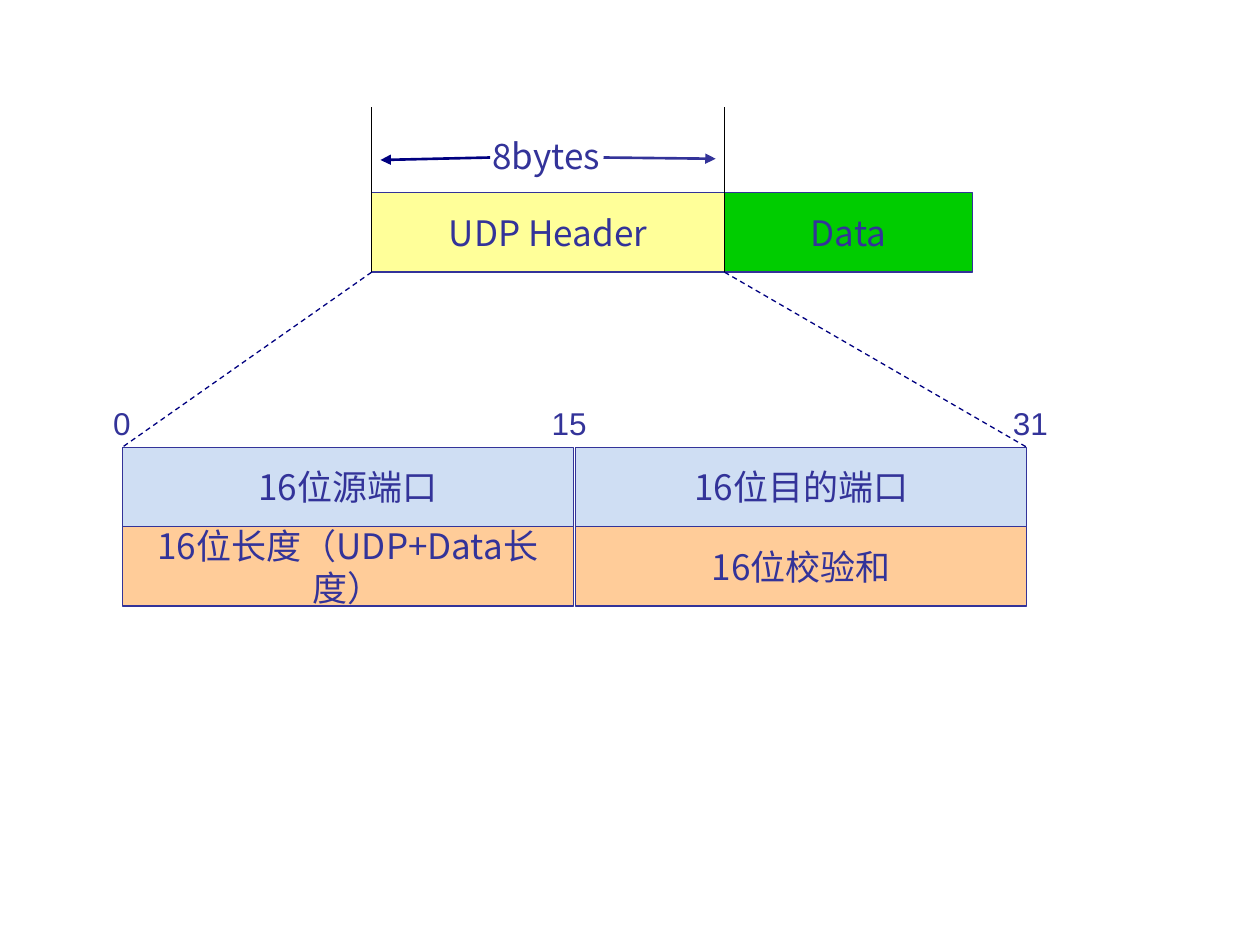
"""Build a slide that explains the layout of a UDP header."""
from lxml.etree import SubElement
from pptx import Presentation
from pptx.dml.color import RGBColor
from pptx.enum.dml import MSO_LINE
from pptx.enum.shapes import MSO_CONNECTOR, MSO_SHAPE
from pptx.enum.text import MSO_ANCHOR, MSO_AUTO_SIZE, PP_ALIGN
from pptx.oxml.ns import qn
from pptx.util import Inches, Pt

INK, NAVY, BLACK = "333399", "000080", "000000"
CJK = "Noto Sans CJK SC"
ROW = 0.63
HEADER_LEFT, HEADER_RIGHT, HEADER_TOP = 2.95, 5.75, 1.53
HEADER_BOTTOM = HEADER_TOP + ROW
FIELD_LEFT, FIELD_TOP, FIELD_WIDTH, FIELD_STEP = 0.97, 3.55, 3.58, 3.6
FIELD_RIGHT = FIELD_LEFT + FIELD_STEP + FIELD_WIDTH
BOX_FRAME = {"word_wrap": True, "auto_size": MSO_AUTO_SIZE.NONE, "vertical_anchor": MSO_ANCHOR.MIDDLE}
LABEL_FRAME = {"word_wrap": False, "auto_size": MSO_AUTO_SIZE.SHAPE_TO_FIT_TEXT, "vertical_anchor": MSO_ANCHOR.TOP}


def paint(target, color):
    target.solid()
    target.fore_color.rgb = RGBColor.from_string(color)


def write(shape, text, place, frame, align, size=20, font=CJK, fill=None):
    for name, value in zip(("left", "top", "width", "height"), place):
        setattr(shape, name, Inches(value))
    if fill:
        paint(shape.fill, fill)
        paint(shape.line.fill, INK)
        shape.line.width = Pt(0.75)
        shape.shadow.inherit = False
    for name, value in frame.items():
        setattr(shape.text_frame, name, value)
    para = shape.text_frame.paragraphs[0]
    para.alignment = align
    span = para.add_run()
    span.text = text
    for name, value in {"size": Pt(size), "name": font, "bold": False}.items():
        setattr(span.font, name, value)
    paint(span.font.fill, INK)
    SubElement(span.font._element, qn("a:ea"), typeface=font)


deck = Presentation()
deck.slide_width, deck.slide_height = Inches(10), Inches(7.5)
page = deck.slides.add_slide(deck.slide_layouts[0])

header, data = page.placeholders
write(header, "UDP Header", (HEADER_LEFT, HEADER_TOP, HEADER_RIGHT - HEADER_LEFT, ROW),
      BOX_FRAME, PP_ALIGN.CENTER, fill="FFFF99")
write(data, "Data", (HEADER_RIGHT, HEADER_TOP, 1.97, ROW), BOX_FRAME, PP_ALIGN.CENTER, fill="00CC00")
data.text_frame.paragraphs[0].space_before = Pt(5)

field_rows = [("CFDEF3", ("16位源端口", "16位目的端口")),
              ("FFCC99", ("16位长度（UDP+Data长度）", "16位校验和"))]
for row, (fill, names) in enumerate(field_rows):
    for column, name in enumerate(names):
        place = (FIELD_LEFT + column * FIELD_STEP, FIELD_TOP + row * ROW, FIELD_WIDTH, ROW)
        box = page.shapes.add_shape(MSO_SHAPE.RECTANGLE, 0, 0, 0, 0)
        write(box, name, place, BOX_FRAME, PP_ALIGN.CENTER, fill=fill)

labels = [("8bytes", (3.81, 1.02, 1.06, 0.44), 20, CJK),
          ("0", (0.8, 3.16, 0.34, 0.4), 18, "Arial"),
          ("15", (4.28, 3.16, 0.48, 0.4), 18, "Arial"),
          ("31", (7.94, 3.16, 0.48, 0.4), 18, "Arial")]
for text, place, size, font in labels:
    label = page.shapes.add_textbox(0, 0, 0, 0)
    write(label, text, place, LABEL_FRAME, PP_ALIGN.LEFT, size, font)

lines = [((HEADER_LEFT, 0.85, HEADER_LEFT, HEADER_BOTTOM), BLACK, 0.75, None, False),
         ((HEADER_RIGHT, 0.85, HEADER_RIGHT, HEADER_BOTTOM), BLACK, 0.75, None, False),
         ((4.79, 1.25, 5.68, 1.26), INK, 1.5, None, True),
         ((3.89, 1.25, 3.02, 1.27), NAVY, 1.5, None, True),
         ((HEADER_LEFT, HEADER_BOTTOM, FIELD_LEFT, FIELD_TOP), NAVY, 0.75, MSO_LINE.DASH, False),
         ((HEADER_RIGHT, HEADER_BOTTOM, FIELD_RIGHT, FIELD_TOP), NAVY, 0.75, MSO_LINE.DASH, False)]
for ends, color, width, dash, arrow in lines:
    line = page.shapes.add_connector(MSO_CONNECTOR.STRAIGHT, *map(Inches, ends))
    paint(line.line.fill, color)
    line.line.width = Pt(width)
    line.line.dash_style = dash
    if arrow:
        SubElement(line.line._get_or_add_ln(), qn("a:tailEnd"), type="triangle")
    SubElement(line._element.spPr, qn("a:effectLst"))

deck.save("out.pptx")
